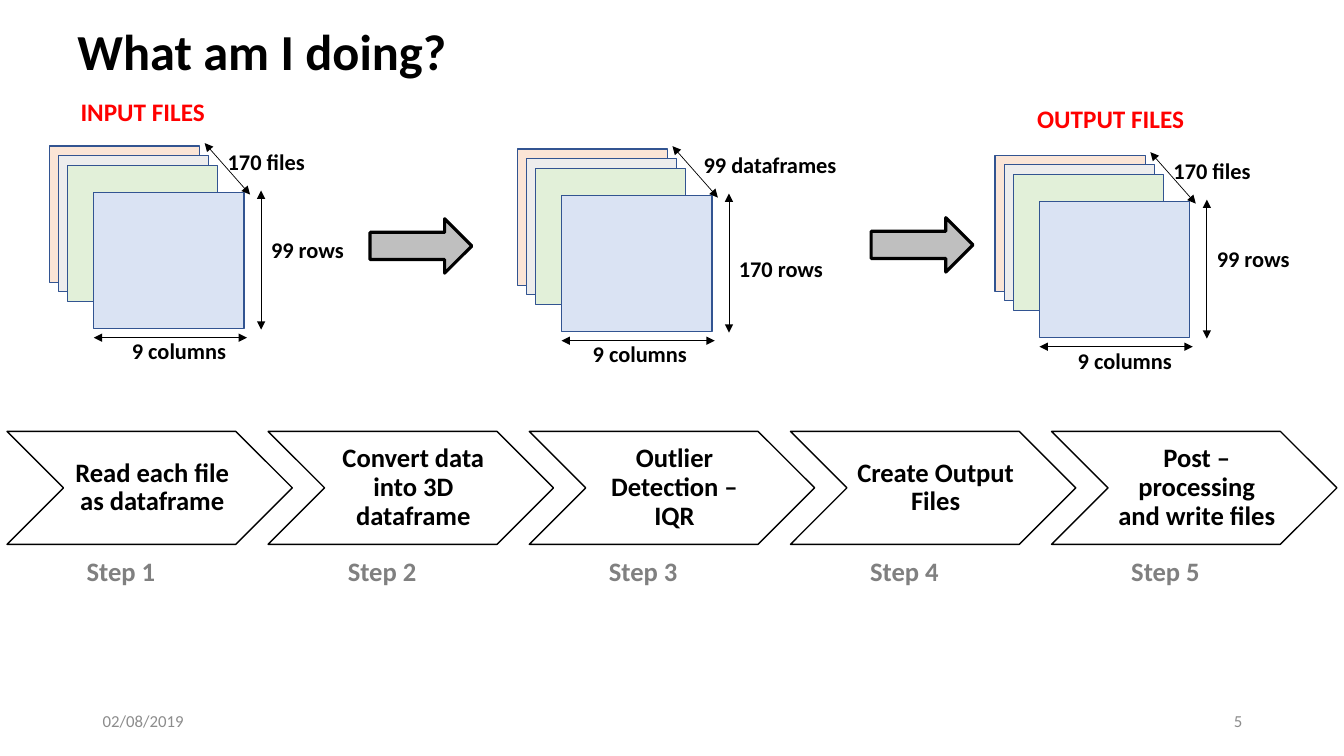
"""Builds the slide that shows the data pipeline from input files to output files."""
import pptx
import pptx.dml.color
import pptx.enum.shapes
import pptx.enum.text
import pptx.oxml
import pptx.oxml.ns
import pptx.util
from pptx.util import Inches

COLORS = {
    "ink": "000000",
    "accent": "FF0000",
    "step": "808080",
    "footer": "8C8C8C",
    "arrow": "BFBFBF",
    "sheet_line": "325491",
    "peach": "FBE5D6",
    "grey": "EDEDED",
    "green": "E2F0D9",
    "blue": "DAE3F3",
}
FONT = "Calibri"
SHAPES = pptx.enum.shapes.MSO_SHAPE
ALIGN = pptx.enum.text.PP_ALIGN
ANCHOR = pptx.enum.text.MSO_ANCHOR


def rgb(name):
    return pptx.dml.color.RGBColor.from_string(COLORS[name])


def write(frame, text, size=16, color="ink", bold=True, align=ALIGN.LEFT,
          anchor=ANCHOR.TOP, spacing=1.0, insets=(0.1, 0.05, 0.1, 0.05)):
    frame.word_wrap = True
    frame.vertical_anchor = anchor
    frame.margin_left, frame.margin_top, frame.margin_right, frame.margin_bottom = map(Inches, insets)
    paragraph = frame.paragraphs[0]
    paragraph.alignment = align
    paragraph.line_spacing = spacing
    run = paragraph.add_run()
    run.text = text
    run.font.name = FONT
    run.font.size = pptx.util.Pt(size)
    run.font.bold = bold
    run.font.color.rgb = rgb(color)


class PipelineSlide:
    def __init__(self, slide):
        self.slide = slide

    def label(self, text, left, top, width, height, **style):
        box = self.slide.shapes.add_textbox(*map(Inches, (left, top, width, height)))
        write(box.text_frame, text, **style)

    def block(self, kind, left, top, width, height, fill=None, line="ink", weight=1):
        block = self.slide.shapes.add_shape(kind, *map(Inches, (left, top, width, height)))
        block.shadow.inherit = False
        if fill:
            block.fill.solid()
            block.fill.fore_color.rgb = rgb(fill)
        else:
            block.fill.background()
        block.line.color.rgb = rgb(line)
        block.line.width = pptx.util.Pt(weight)
        return block

    def dimension(self, x1, y1, x2, y2):
        dimension = self.slide.shapes.add_connector(
            pptx.enum.shapes.MSO_CONNECTOR.STRAIGHT, *map(Inches, (x1, y1, x2, y2)))
        dimension.line.color.rgb = rgb("ink")
        dimension.line.width = pptx.util.Pt(0.5)
        outline = dimension.line._get_or_add_ln()
        for end in ("a:headEnd", "a:tailEnd"):
            pptx.oxml.ns.qn(end)
            arrowhead = pptx.oxml.parse_xml(f'<{end} {pptx.oxml.ns.nsdecls("a")} type="triangle"/>')
            outline.append(arrowhead)
        properties = dimension._element.spPr
        properties.append(pptx.oxml.parse_xml(f'<a:effectLst {pptx.oxml.ns.nsdecls("a")}/>'))

    def stack(self, left, top, depth, rows, columns):
        sheets = (("peach", 0, 0), ("grey", 0.09, 0.09), ("green", 0.18, 0.19), ("blue", 0.44, 0.46))
        for fill, dx, dy in sheets:
            self.block(SHAPES.RECTANGLE, left + dx, top + dy, 1.49, 1.35, fill, "sheet_line")
        self.dimension(left + 0.44, top + 1.9, left + 1.96, top + 1.9)
        self.dimension(left + 2.1, top + 1.82, left + 2.1, top + 0.44)
        self.dimension(left + 1.99, top + 0.48, left + 1.54, top - 0.03)
        for text, dx, dy in (depth, rows, columns):
            self.label(text, left + dx, top + dy, 1.61, 0.37)

    def step(self, number, text):
        left = 0.07 + 2.59 * (number - 1)
        chevron = self.block(SHAPES.CHEVRON, left, 4.28, 2.83, 1.12)
        write(chevron.text_frame, text, size=19, align=ALIGN.CENTER, anchor=ANCHOR.MIDDLE,
              spacing=0.9, insets=(0.08, 0.03, 0.03, 0.03))
        self.label(f"Step {number}", left, 5.54, 2.26, 0.37, size=19, color="step",
                   align=ALIGN.CENTER, spacing=0.9, insets=(0, 0, 0, 0))


def main():
    deck = pptx.Presentation()
    deck.slide_width, deck.slide_height = Inches(13.33), Inches(7.5)
    page = PipelineSlide(deck.slides.add_slide(deck.slide_layouts[6]))

    page.label("What am I doing?", 0.67, 0.15, 11.5, 0.77, size=36, anchor=ANCHOR.MIDDLE, spacing=0.9)
    footer = {"size": 12, "color": "footer", "bold": False, "anchor": ANCHOR.MIDDLE}
    page.label("02/08/2019", 0.92, 6.95, 3, 0.4, **footer)
    page.label("5", 9.42, 6.95, 3, 0.4, align=ALIGN.RIGHT, **footer)

    steps = (
        "Read each file as dataframe",
        "Convert data into 3D dataframe",
        "Outlier Detection – IQR",
        "Create Output Files",
        "Post – processing and write files",
    )
    for number, text in enumerate(steps, 1):
        page.step(number, text)

    for heading, left, top in (("INPUT FILES", 0.44, 0.91), ("OUTPUT FILES", 10.04, 0.98)):
        page.label(heading, left, top, 1.95, 0.4, size=18, color="accent", align=ALIGN.CENTER)

    file_labels = (("170 files", 1.67, -0.03), ("99 rows", 2.1, 0.84), ("9 columns", 0.72, 1.85))
    frame_labels = (("99 dataframes", 1.75, -0.03), ("170 rows", 2.1, 1), ("9 columns", 0.65, 1.85))
    page.stack(0.49, 1.45, *file_labels)
    page.stack(5.13, 1.48, *frame_labels)
    page.stack(9.87, 1.54, *file_labels)

    for left, top in ((3.67, 2.17), (8.64, 2.16)):
        page.block(SHAPES.RIGHT_ARROW, left, top, 1.01, 0.54, "arrow", weight=2.25)

    deck.save("out.pptx")


if __name__ == "__main__":
    main()
